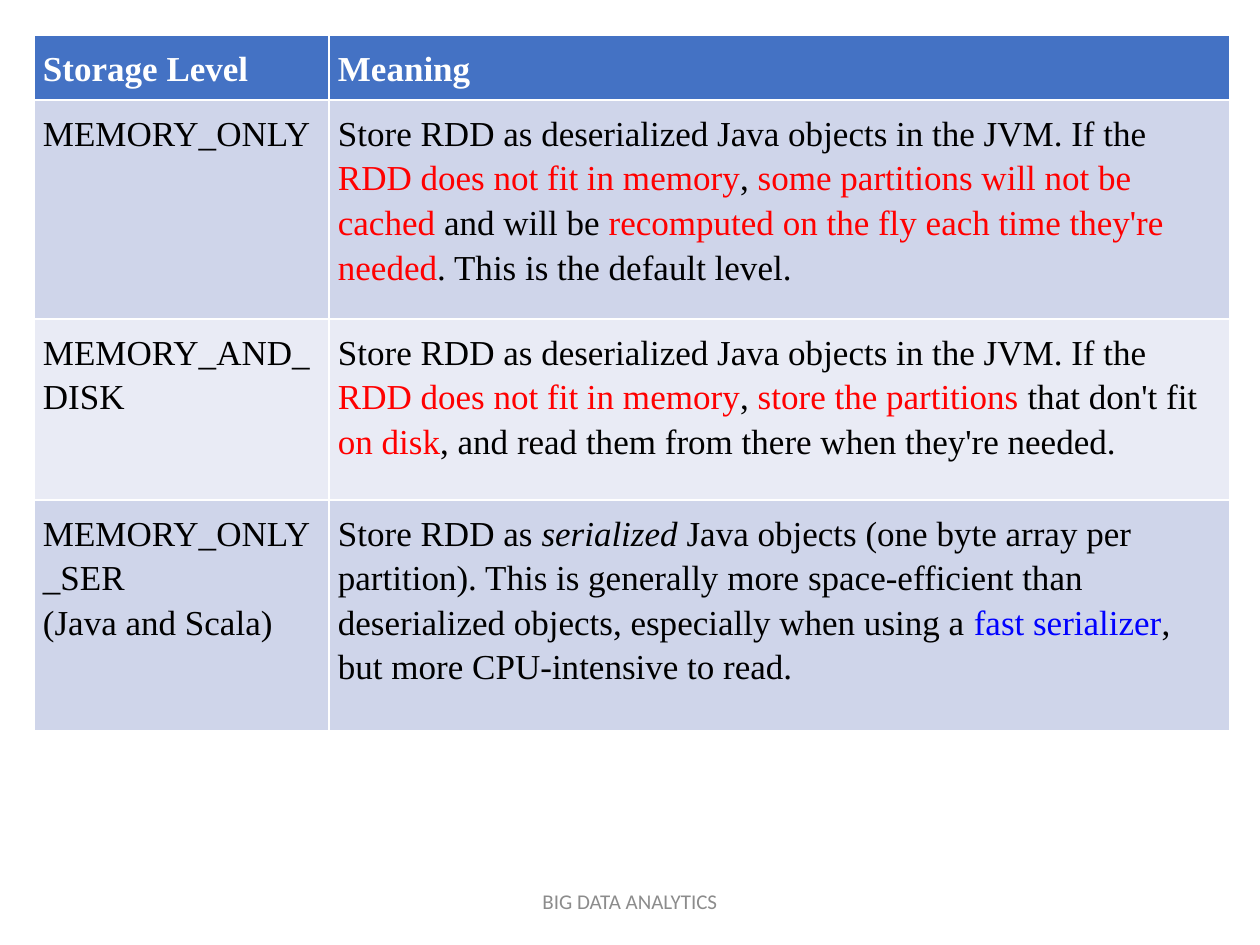
from pptx import Presentation
from pptx.dml.color import RGBColor
from pptx.enum.text import MSO_ANCHOR, PP_ALIGN
from pptx.util import Emu, Pt

COLORS = {
    "header": "4472C4",
    "odd": "CFD5EA",
    "even": "E9EBF5",
    "white": "FFFFFF",
    "black": "000000",
    "red": "FF0000",
    "blue": "0000FF",
    "gray": "8C8C8C",
}
COLUMN_WIDTHS = [295, 901]
ROW_HEIGHTS = [65, 219, 181, 231]
CELL_MARGIN = 9
ROWS = [
    (["Storage Level"], ["Meaning"]),
    (
        ["MEMORY_ONLY"],
        [
            "Store RDD as deserialized Java objects in the JVM. If the ",
            ("RDD does not fit in memory", "red"),
            ", ",
            ("some partitions will not be cached ", "red"),
            "and will be ",
            ("recomputed on the fly each time they're needed", "red"),
            ". This is the default level.",
        ],
    ),
    (
        ["MEMORY_AND_DISK"],
        [
            "Store RDD as deserialized Java objects in the JVM. If the ",
            ("RDD does not fit in memory", "red"),
            ", ",
            ("store the partitions ", "red"),
            "that don't fit ",
            ("on disk", "red"),
            ", and read them from there when they're needed.",
        ],
    ),
    (
        ["MEMORY_ONLY_SER", "\n", "(Java and Scala)"],
        [
            "Store RDD as ",
            ("serialized", "italic"),
            " Java objects (one byte array per partition). This is generally more "
            "space-efficient than deserialized objects, especially when using a ",
            ("fast serializer", "blue"),
            ", but more CPU-intensive to read.",
        ],
    ),
]


def px(value):
    """Turn pixels into EMU at 126 pixels to the inch."""
    return Emu(round(value * 914400 / 126))


def color(name):
    """Look up a named colour."""
    return RGBColor.from_string(COLORS[name])


def add_segments(paragraph, segments, base_color):
    """Add plain, coloured and italic runs and line breaks."""
    for segment in segments:
        if segment == "\n":
            paragraph.add_line_break()
            continue
        text, style = (segment, base_color) if isinstance(segment, str) else segment
        run = paragraph.add_run()
        run.text = text
        if style == "italic":
            run.font.italic = True
            style = base_color
        run.font.color.rgb = color(style)


def fill_cell(cell, segments, fill, text_color, bold):
    """Fill one table cell with formatted text."""
    cell.fill.solid()
    cell.fill.fore_color.rgb = color(fill)
    cell.margin_left = cell.margin_right = px(CELL_MARGIN)
    cell.margin_top = cell.margin_bottom = px(CELL_MARGIN)
    paragraph = cell.text_frame.paragraphs[0]
    paragraph.line_spacing = 1.15
    paragraph.space_after = Pt(10)
    paragraph.font.name = "Times New Roman"
    paragraph.font.size = Pt(20)
    paragraph.font.bold = bold
    add_segments(paragraph, segments, text_color)


def add_storage_table(slide):
    """Add the table of storage levels."""
    table = slide.shapes.add_table(
        len(ROWS), len(COLUMN_WIDTHS), px(34), px(35),
        px(sum(COLUMN_WIDTHS)), px(sum(ROW_HEIGHTS)),
    ).table
    for column, width in zip(table.columns, COLUMN_WIDTHS):
        column.width = px(width)
    for index, (row, height, texts) in enumerate(zip(table.rows, ROW_HEIGHTS, ROWS)):
        row.height = px(height)
        is_header = index == 0
        fill = "header" if is_header else ("even", "odd")[index % 2]
        text_color = "white" if is_header else "black"
        for cell, segments in zip(row.cells, texts):
            fill_cell(cell, segments, fill, text_color, is_header)


def add_footer(slide, text):
    """Add the centred footer text."""
    frame = slide.shapes.add_textbox(px(417), px(876), px(426), px(50)).text_frame
    frame.word_wrap = True
    frame.vertical_anchor = MSO_ANCHOR.MIDDLE
    paragraph = frame.paragraphs[0]
    paragraph.text = text
    paragraph.alignment = PP_ALIGN.CENTER
    paragraph.font.name = "Calibri"
    paragraph.font.size = Pt(12)
    paragraph.font.color.rgb = color("gray")


def main():
    """Build and save the slide."""
    presentation = Presentation()
    presentation.slide_width = px(1260)
    presentation.slide_height = px(945)
    slide = presentation.slides.add_slide(presentation.slide_layouts[6])
    add_storage_table(slide)
    add_footer(slide, "BIG DATA ANALYTICS")
    presentation.save("out.pptx")


if __name__ == "__main__":
    main()
